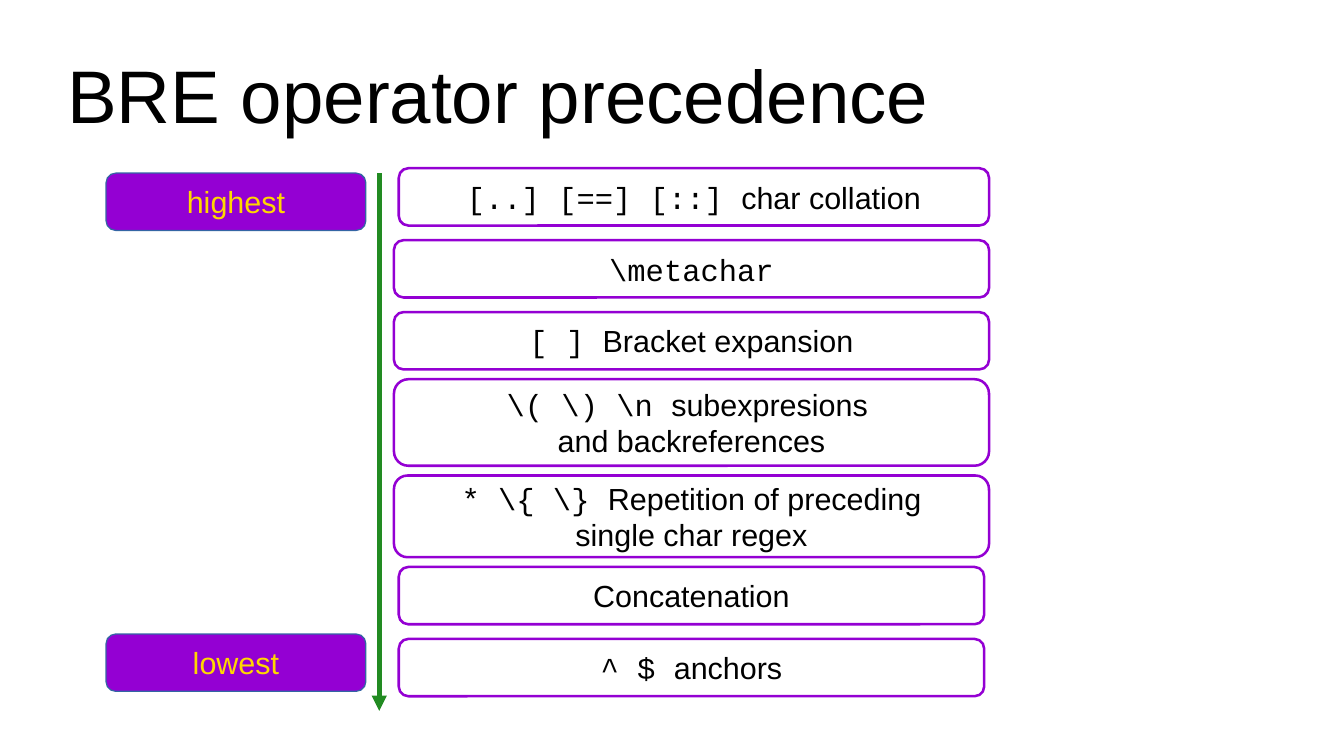
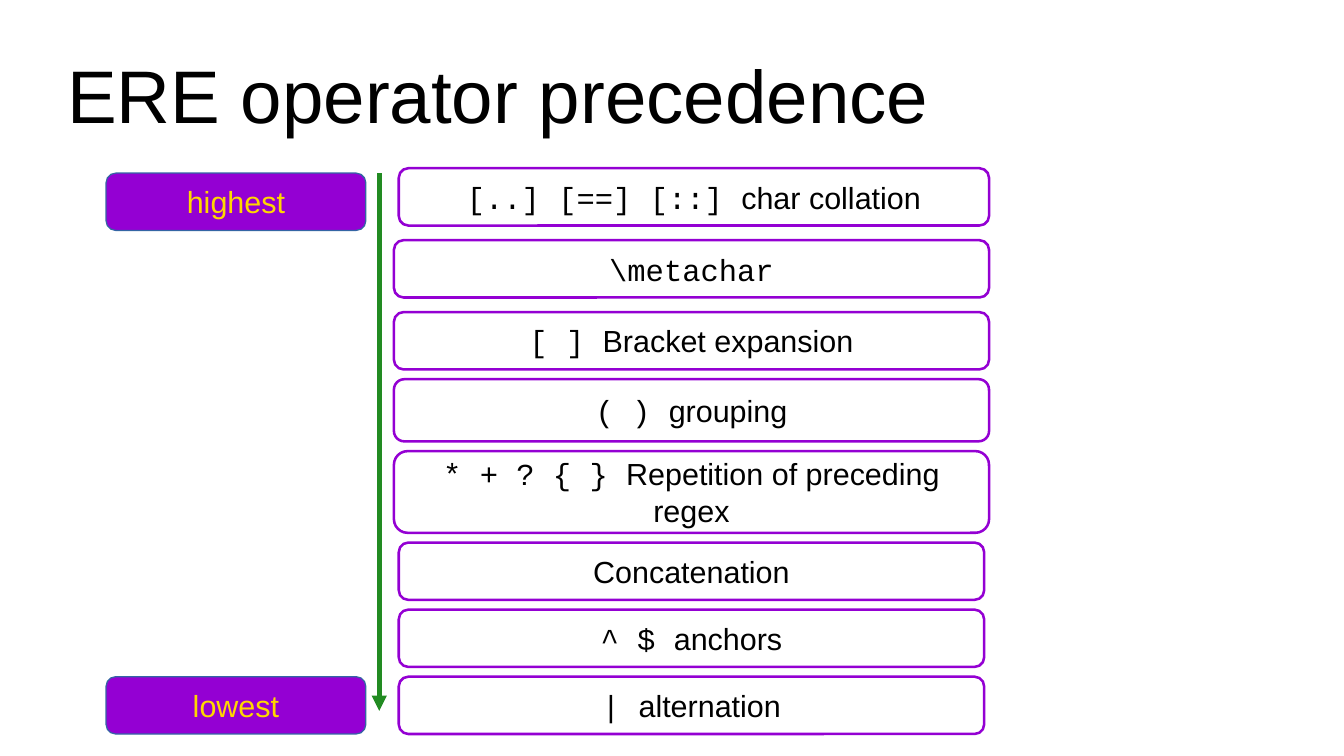
import collections

import pptx
import pptx.dml.color
import pptx.enum.shapes
import pptx.enum.text
import pptx.oxml
import pptx.oxml.ns
import pptx.util
from pptx.util import Inches

BLACK = pptx.dml.color.RGBColor(0x00, 0x00, 0x00)
VIOLET = pptx.dml.color.RGBColor(0x94, 0x00, 0xD3)
GOLD = pptx.dml.color.RGBColor(0xFF, 0xD7, 0x00)
GREEN = pptx.dml.color.RGBColor(0x22, 0x8B, 0x22)
BLUE = pptx.dml.color.RGBColor(0x34, 0x65, 0xA4)

SANS = "Arial"
MONO = "Courier New"
TITLE_SIZE = 44
BODY_SIZE = 18
ROW_HEIGHT = 0.47
WIDE_GAP = 0.12
TIGHT_GAP = 0.08

Box = collections.namedtuple("Box", "left top width height")
Level = collections.namedtuple("Level", "code words height gap inset_left inset_right")

TITLE_BOX = Box(0.55, 0.25, 9.92, 1.04)
SCALE_BOX = Box(0.87, 1.42, 2.13, 4.41)
LEVELS_BOX = Box(3.23, 1.38, 4.88, 4.64)
ARROW_OFFSET = 2.24


def wide(code, words, height=ROW_HEIGHT, gap=TIGHT_GAP):
    return Level(code, words, height, gap, 0, 0)


def narrow(code, words, gap=TIGHT_GAP):
    return Level(code, words, ROW_HEIGHT, gap, 0.04, 0.04)


SHARED_LEVELS = [
    Level("[..] [==] [::] ", "char collation", ROW_HEIGHT, 0, 0.04, 0),
    wide("\\metachar", "", gap=WIDE_GAP),
    wide("[ ] ", "Bracket expansion", gap=WIDE_GAP),
]
BRE_LEVELS = SHARED_LEVELS + [
    wide("\\( \\) \\n ", "subexpresions \nand backreferences", 0.71),
    wide("* \\{ \\} ", "Repetition of preceding\nsingle char regex", 0.67),
    narrow("", "Concatenation"),
    narrow("^ $ ", "anchors", WIDE_GAP),
]
ERE_LEVELS = SHARED_LEVELS + [
    wide("( ) ", "grouping", 0.51),
    wide("* + ? { } ", "Repetition of preceding\nregex", 0.67),
    narrow("", "Concatenation"),
    narrow("^ $ ", "anchors"),
    narrow("| ", "alternation"),
]


def apply_format(target, values):
    for name, value in values.items():
        setattr(target, name, value)


def place(shape, box):
    apply_format(shape, {name: Inches(value) for name, value in box._asdict().items()})


def format_frame(frame, horizontal, vertical, wrap):
    apply_format(frame, {
        "margin_left": Inches(horizontal),
        "margin_right": Inches(horizontal),
        "margin_top": Inches(vertical),
        "margin_bottom": Inches(vertical),
        "vertical_anchor": pptx.enum.text.MSO_ANCHOR.MIDDLE,
        "word_wrap": wrap,
    })


def add_text(paragraph, text, font_name, size, color):
    for index, line in enumerate(text.split("\n")):
        if index:
            paragraph.add_line_break()
        if line:
            run = paragraph.add_run()
            run.text = line
            apply_format(run.font, {"name": font_name, "size": pptx.util.Pt(size)})
            run.font.color.rgb = color


def add_title(slide, box, text):
    title = slide.shapes.title
    place(title, box)
    format_frame(title.text_frame, 0, 0, True)
    paragraph = title.text_frame.paragraphs[0]
    paragraph.alignment = pptx.enum.text.PP_ALIGN.LEFT
    add_text(paragraph, text, SANS, TITLE_SIZE, BLACK)


def add_rounded_box(slide, box, line_color, line_width, margins):
    shape = slide.shapes.add_shape(
        pptx.enum.shapes.MSO_SHAPE.ROUNDED_RECTANGLE, *map(Inches, box))
    shape.shadow.inherit = False
    shape.adjustments[0] = 0.167
    shape.fill.background()
    shape.line.color.rgb = line_color
    shape.line.width = pptx.util.Pt(line_width)
    format_frame(shape.text_frame, *margins, False)
    shape.text_frame.paragraphs[0].alignment = pptx.enum.text.PP_ALIGN.CENTER
    return shape


def add_arrow(slide, x, top, bottom):
    arrow = slide.shapes.add_connector(
        pptx.enum.shapes.MSO_CONNECTOR.STRAIGHT,
        Inches(x), Inches(top), Inches(x), Inches(bottom))
    arrow.line.color.rgb = GREEN
    arrow.line.width = pptx.util.Pt(3)
    tail = pptx.oxml.parse_xml(
        '<a:tailEnd %s type="triangle"/>' % pptx.oxml.ns.nsdecls("a"))
    arrow.line._get_or_add_ln().append(tail)
    effects = pptx.oxml.parse_xml("<a:effectLst %s/>" % pptx.oxml.ns.nsdecls("a"))
    arrow._element.spPr.append(effects)


def add_scale(slide, box, lowest_top):
    for text, top in (("highest", box.top), ("lowest", lowest_top)):
        label = add_rounded_box(
            slide, Box(box.left, top, box.width, ROW_HEIGHT), BLUE, 0, (0.1, 0.05))
        label.fill.solid()
        label.fill.fore_color.rgb = VIOLET
        add_text(label.text_frame.paragraphs[0], text, SANS, BODY_SIZE, GOLD)
    add_arrow(slide, box.left + ARROW_OFFSET, box.top, box.top + box.height)


def add_levels(slide, box, levels):
    top = box.top
    for level in levels:
        top += level.gap
        width = box.width - level.inset_left - level.inset_right
        shape = add_rounded_box(
            slide, Box(box.left + level.inset_left, top, width, level.height),
            VIOLET, 1.5, (0.11, 0.06))
        paragraph = shape.text_frame.paragraphs[0]
        add_text(paragraph, level.code, MONO, BODY_SIZE, BLACK)
        add_text(paragraph, level.words, SANS, BODY_SIZE, BLACK)
        top += level.height


def add_precedence_slide(presentation, title, levels, lowest_top):
    slide = presentation.slides.add_slide(presentation.slide_layouts[5])
    add_title(slide, TITLE_BOX, title)
    add_scale(slide, SCALE_BOX, lowest_top)
    add_levels(slide, LEVELS_BOX, levels)


def main():
    presentation = pptx.Presentation()
    presentation.slide_width = Inches(11.02)
    presentation.slide_height = Inches(6.2)
    add_precedence_slide(presentation, "BRE operator precedence", BRE_LEVELS, 5.2)
    add_precedence_slide(presentation, "ERE operator precedence", ERE_LEVELS, 5.55)
    presentation.save("out.pptx")


if __name__ == "__main__":
    main()
